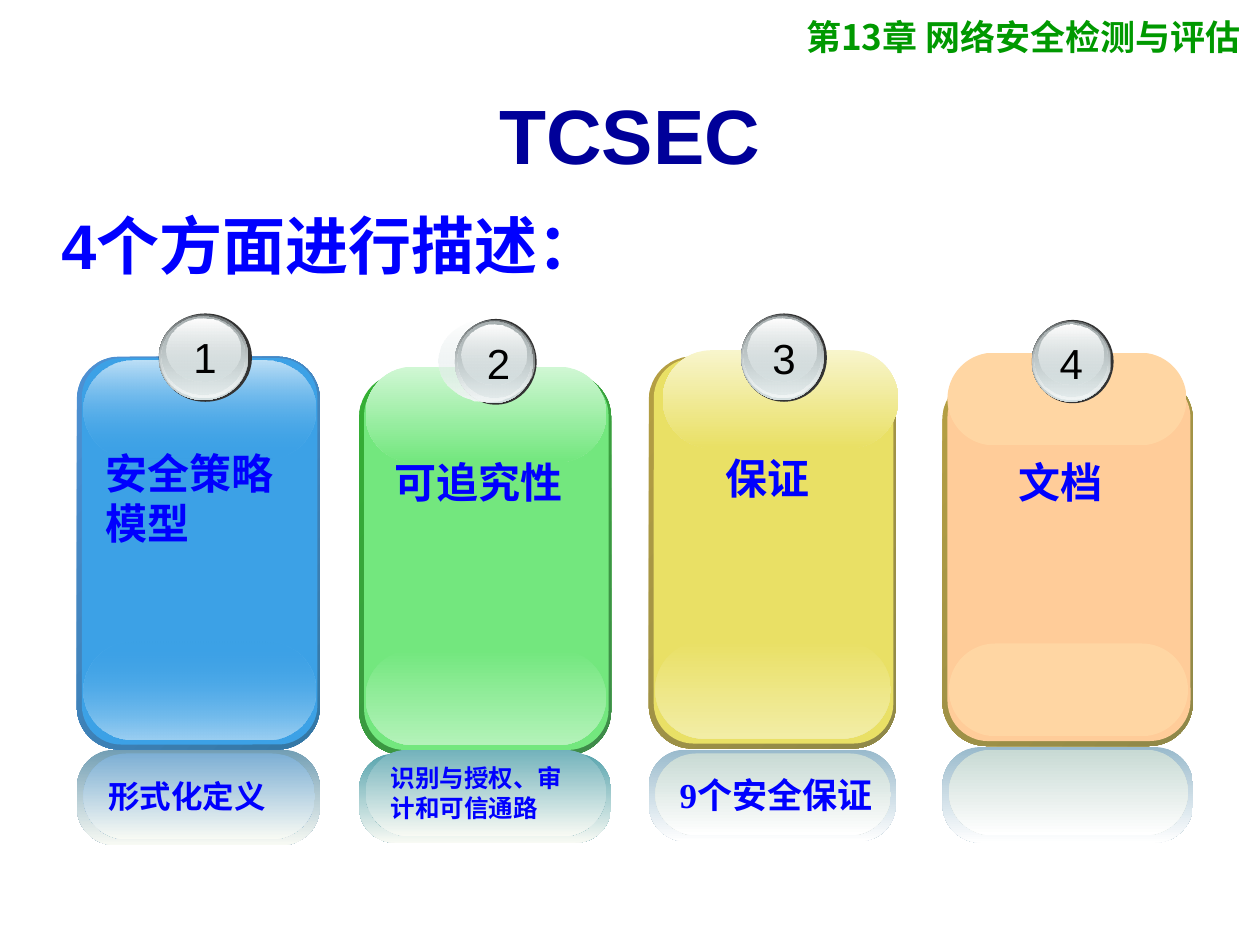
from dataclasses import dataclass

from lxml.etree import SubElement
from pptx import Presentation
from pptx.dml.color import RGBColor
from pptx.enum.shapes import MSO_SHAPE
from pptx.enum.text import MSO_ANCHOR, PP_ALIGN
from pptx.oxml.ns import qn
from pptx.util import Cm, Pt

BLUE = RGBColor(0x00, 0x00, 0xFF)
NAVY = RGBColor(0x00, 0x00, 0x99)
GREEN = RGBColor(0x00, 0x99, 0x00)
BLACK = RGBColor(0x00, 0x00, 0x00)
WHITE = RGBColor(0xFF, 0xFF, 0xFF)
CHARCOAL = RGBColor(0x33, 0x33, 0x33)
STEEL = RGBColor(0x63, 0x68, 0x69)
SILVER = RGBColor(0xD6, 0xE1, 0xE2)
PEARL = RGBColor(0xF1, 0xF5, 0xF5)
ASH = RGBColor(0xAA, 0xB2, 0xB3)
MIST = RGBColor(0xF8, 0xFA, 0xF4)
SKY = RGBColor(0x3C, 0xA1, 0xE6)
LIME = RGBColor(0x73, 0xE7, 0x7E)
YELLOW = RGBColor(0xE9, 0xE0, 0x65)
PEACH = RGBColor(0xFF, 0xCC, 0x99)
APRICOT = RGBColor(0xFF, 0xD6, 0xA3)
GOLD_EDGE = (RGBColor(0xB5, 0x9F, 0x43), RGBColor(0x8F, 0x88, 0x49))
PALE_OUTER = (RGBColor(0x99, 0xBA, 0xCC), WHITE)
PALE_INNER = (RGBColor(0xC8, 0xDA, 0xD4), WHITE)

CJK_FONT = "Noto Sans CJK SC"
BODY_FONT = "Times New Roman"
DOWNWARD = 270
DIAGONAL = 315

BADGE_LAYERS = (
    ((0, 0.01, 0.96, 0.97), (STEEL, SILVER), (100, 100)),
    ((0.01, 0.015, 0.945, 0.94), (SILVER, PEARL), (0, 100)),
    ((0.03, 0.03, 0.89, 0.89), (ASH, SILVER), (100, 48)),
    ((0.08, 0.06, 0.8, 0.71), (WHITE, SILVER), (100, 38)),
)


@dataclass
class Card:
    """Geometry in centimetres, colours and wording of one card."""

    frame: tuple
    edge: tuple
    face: RGBColor
    top_gloss: tuple
    top_colors: tuple
    bottom_colors: tuple
    gloss_alpha: int
    outer: tuple
    outer_colors: tuple
    inner: tuple
    inner_colors: tuple
    badge: tuple
    number_box: tuple
    title: str
    title_box: tuple
    caption: str = ""
    caption_size: int = 18
    caption_wrap: bool = False
    badge_shine: tuple = ()


CARDS = (
    Card((1.55, 7.19, 4.9, 7.92), (RGBColor(0x4E, 0x91, 0xD4), RGBColor(0x34, 0x77, 0xA4)),
         SKY, (1.68, 7.26), (RGBColor(0xBE, 0xE0, 0xF7), SKY), (SKY, RGBColor(0x9B, 0xCF, 0xF2)), 0,
         (15.11, 1.93), (RGBColor(0x72, 0x9E, 0xB4), MIST),
         (15.19, 1.73), (RGBColor(0x7D, 0xAF, 0xD4), MIST),
         (3.2, 6.32, 1.88, 1.78), (3.4, 6.55, 1.47, 1.27),
         "安全策略模型", (1.88, 8.89, 4.22, 2.29), "形式化定义"),
    Card((7.24, 7.52, 5.08, 7.7), (RGBColor(0x34, 0xB0, 0x34), RGBColor(0x3F, 0x8B, 0x4A)),
         LIME, (7.37, 7.39), (RGBColor(0xD0, 0xF7, 0xD4), LIME), (LIME, RGBColor(0xB3, 0xF2, 0xB9)), 100,
         (15.19, 1.8), (RGBColor(0x58, 0xA4, 0xAE), MIST),
         (15.11, 1.75), (RGBColor(0x72, 0xB2, 0xBB), MIST),
         (9.17, 6.43, 1.65, 1.73), (9.35, 6.68, 1.4, 1.27),
         "可追究性", (7.7, 9.07, 4.83, 1.27), "识别与授权、审计和可信通路", 14, True,
         (8.84, 6.45, 1.93, 1.65)),
    Card((13.08, 7.19, 4.98, 7.9), GOLD_EDGE,
         YELLOW, (13.36, 7.06), (RGBColor(0xF8, 0xF5, 0xCC), YELLOW), (YELLOW, RGBColor(0xF2, 0xED, 0xA6)), 100,
         (15.11, 1.85), PALE_OUTER, (15.19, 1.65), PALE_INNER,
         (14.94, 6.32, 1.73, 1.78), (15.32, 6.58, 0.97, 1.27),
         "保证", (14.38, 8.99, 4.11, 1.27), "9个安全保证", 20),
    Card((19, 7.57, 5.05, 7.47), GOLD_EDGE,
         PEACH, (19.1, 7.11), (APRICOT, APRICOT), (APRICOT, APRICOT), 100,
         (15.06, 1.93), PALE_OUTER, (15.11, 1.73), PALE_INNER,
         (20.8, 6.45, 1.65, 1.68), (21.11, 6.68, 0.97, 1.27),
         "文档", (20.29, 9.07, 3.35, 1.27)),
)


def write_text(shape, text, size=24, color=BLUE, font=BODY_FONT, bold=True, align=PP_ALIGN.LEFT,
               anchor=MSO_ANCHOR.TOP, wrap=True, before=0, spacing=1.0):
    """Put one formatted paragraph into a shape."""
    frame = shape.text_frame
    frame.word_wrap = wrap
    frame.vertical_anchor = anchor
    paragraph = frame.paragraphs[0]
    paragraph.alignment = align
    paragraph.space_before = Pt(before)
    paragraph.line_spacing = spacing
    run = paragraph.add_run()
    run.text = text
    run.font.size = Pt(size)
    run.font.bold = bold
    run.font.name = font
    run.font.color.rgb = color
    SubElement(run.font._element, qn("a:ea"), typeface=CJK_FONT)


def add_label(slide, box, text, **style):
    """Add a text box."""
    shape = slide.shapes.add_textbox(*map(Cm, box))
    write_text(shape, text, **style)


def add_plain(shapes, kind, box, color=None, corner=None):
    """Add a preset shape without line or shadow."""
    shape = shapes.add_shape(kind, *map(Cm, box))
    shape.shadow.inherit = False
    shape.line.fill.background()
    if corner is not None:
        shape.adjustments[0] = corner
    if color is not None:
        shape.fill.solid()
        shape.fill.fore_color.rgb = color
    return shape


def add_gradient(shapes, kind, box, colors, alphas=(100, 100), corner=None, angle=DOWNWARD):
    """Add a preset shape with a gradient of two colours."""
    shape = add_plain(shapes, kind, box, corner=corner)
    shape.fill.gradient()
    shape.fill.gradient_angle = angle
    for stop, color in zip(shape.fill.gradient_stops, colors):
        stop.color.rgb = color
    gradient = shape.element.spPr.find(qn("a:gradFill"))
    for element, alpha in zip(gradient.iter(qn("a:srgbClr")), alphas):
        if alpha < 100:
            SubElement(element, qn("a:alpha"), val=str(alpha * 1000))
    return shape


def add_badge(slide, card, number):
    """Add the glossy round badge with its number."""
    left, top, width, height = card.badge
    group = slide.shapes.add_group_shape()
    add_plain(group.shapes, MSO_SHAPE.OVAL, card.badge, CHARCOAL)
    for (x, y, w, h), colors, alphas in BADGE_LAYERS:
        box = (left + x * width, top + y * height, w * width, h * height)
        if card.badge_shine and colors == (SILVER, PEARL):
            box = card.badge_shine
        add_gradient(group.shapes, MSO_SHAPE.OVAL, box, colors, alphas)
    add_label(slide, card.number_box, str(number), color=BLACK, font="Arial", bold=False,
              align=PP_ALIGN.CENTER)


def add_card(slide, card, number):
    """Add a card with its gloss, badge, title and reflection."""
    shapes, rounded = slide.shapes, MSO_SHAPE.ROUNDED_RECTANGLE
    left, top, width, height = card.frame
    gloss_left, gloss_width, gloss_height = left + 0.13, width - 0.23, height * 0.25
    bottom_top = top + height - gloss_height - 0.2
    add_gradient(shapes, rounded, card.frame, card.edge, corner=0.175, angle=DIAGONAL)
    add_plain(shapes, rounded, (left + 0.1, top + 0.03, width - 0.15, height - 0.13), card.face, 0.167)
    add_gradient(shapes, rounded, (gloss_left, bottom_top, gloss_width, gloss_height),
                 card.bottom_colors, (card.gloss_alpha, 100), 0.5)
    add_gradient(shapes, rounded, (*card.top_gloss, gloss_width, gloss_height),
                 card.top_colors, (100, card.gloss_alpha), 0.5)
    outer_top, outer_height = card.outer
    inner_top, inner_height = card.inner
    add_gradient(shapes, rounded, (left, outer_top, width, outer_height), card.outer_colors, corner=0.4)
    inner = add_gradient(shapes, rounded, (gloss_left, inner_top, gloss_width, inner_height),
                         card.inner_colors, corner=0.5)
    if card.caption:
        write_text(inner, card.caption, size=card.caption_size, anchor=MSO_ANCHOR.MIDDLE,
                   wrap=card.caption_wrap)
    add_badge(slide, card, number)
    add_label(slide, card.title_box, card.title)


def main():
    """Build and save the slide."""
    presentation = Presentation()
    presentation.slide_width, presentation.slide_height = Cm(25.4), Cm(19.05)
    slide = presentation.slides.add_slide(presentation.slide_layouts[6])
    add_label(slide, (8.99, 0.18, 16.28, 1.96), "第13章 网络安全检测与评估", size=20, color=GREEN,
              font=CJK_FONT, align=PP_ALIGN.RIGHT, before=12.5)
    add_label(slide, (1.27, 1.45, 22.86, 2.49), "TCSEC", size=44, color=NAVY, font="Arial",
              align=PP_ALIGN.CENTER, anchor=MSO_ANCHOR.MIDDLE)
    add_label(slide, (0.99, 3.81, 19.05, 2.26), "4个方面进行描述：", size=36, font="Arial",
              align=PP_ALIGN.JUSTIFY, before=9, spacing=1.15)
    for number, card in enumerate(CARDS, start=1):
        add_card(slide, card, number)
    presentation.save("out.pptx")


if __name__ == "__main__":
    main()
